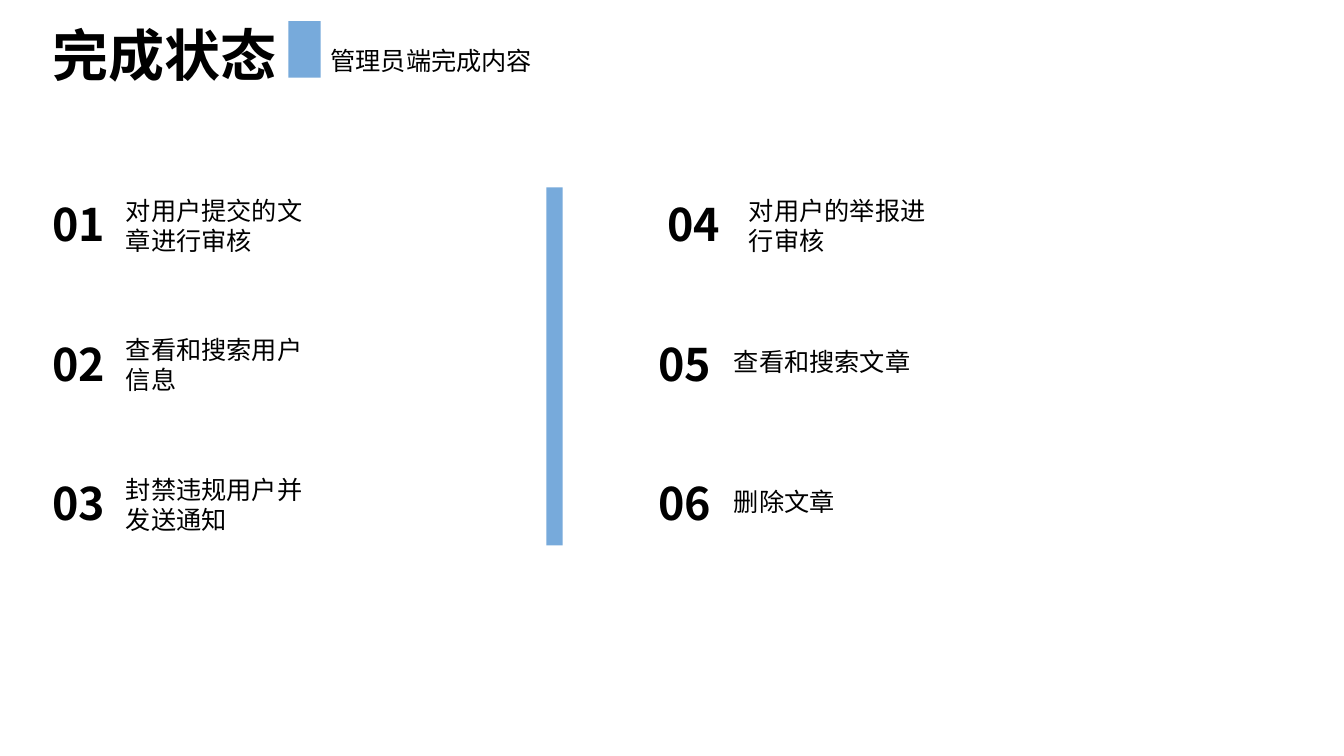
from dataclasses import dataclass

from pptx import Presentation
from pptx.dml.color import RGBColor
from pptx.enum.shapes import MSO_SHAPE as SHAPE
from pptx.enum.text import MSO_AUTO_SIZE as AUTO
from pptx.oxml.ns import qn
from pptx.util import Inches, Pt


@dataclass(frozen=True)
class Theme:
    font: str = "Noto Sans CJK SC"
    ink: RGBColor = RGBColor(0, 0, 0)
    accent: RGBColor = RGBColor(0x77, 0xAA, 0xDB)
    title: int = 40
    number: int = 32
    body: int = 18
    leading: float = 1.19    # line pitch as a share of the type size
    top_shift: float = 0.11  # extra top inset as a share of the type size


THEME = Theme()
WIDTH, HEIGHT = 13.33, 7.5
ROW_PITCH = 1.385

# Number, wording, number offset, wording offset, wording width
LEFT_ITEMS = [
    ("01", "对用户提交的文章进行审核", 0, (0.73, 0), 2.19),
    ("02", "查看和搜索用户信息", 0, (0.73, 0), 2.19),
    ("03", "封禁违规用户并发送通知", 0, (0.73, 0), 2.19),
]
RIGHT_ITEMS = [
    ("04", "对用户的举报进行审核", 0.09, (0.9, 0), 2.19),
    ("05", "查看和搜索文章", 0, (0.75, 0.12), 4.6),
    ("06", "删除文章", 0, (0.75, 0.12), 4.6),
]


def add_text(s, box, text, size, bold=False, wrap=True):
    tb = s.shapes.add_textbox(*map(Inches, box))
    tf = tb.text_frame
    frame_format = {"word_wrap": wrap, "auto_size": AUTO.NONE,
                    "margin_top": Inches(0.05) + Pt(size * THEME.top_shift)}
    for name, value in frame_format.items():
        setattr(tf, name, value)
    p = tf.paragraphs[0]
    p.line_spacing = Pt(size * THEME.leading)
    r = p.add_run()
    r.text = text
    for name, value in {"name": THEME.font, "size": Pt(size), "bold": bold}.items():
        setattr(r.font, name, value)
    r.font.color.rgb = THEME.ink
    # East Asian typeface
    ea = r.font._element.makeelement(qn("a:ea"), {"typeface": THEME.font})
    r.font._element.append(ea)


def add_bar(s, box):
    sp = s.shapes.add_shape(SHAPE.RECTANGLE, *map(Inches, box))
    sp.shadow.inherit = False
    sp.fill.solid()
    sp.fill.fore_color.rgb = THEME.accent
    sp.line.fill.background()


def add_header(s, x, y):
    add_text(s, (x, y, 2.42, 0.77), "完成状态", THEME.title, bold=True, wrap=False)
    add_bar(s, (x + 2.44, y + 0.11, 0.32, 0.56))
    add_text(s, (x + 2.76, y + 0.27, 3, 0.4), "管理员端完成内容", THEME.body)


def add_item_column(s, x, y, items):
    for row, (number, text, shift, (dx, dy), width) in enumerate(items):
        top = y + row * ROW_PITCH
        add_text(s, (x + shift, top, 0.89, 0.64), number, THEME.number, bold=True)
        add_text(s, (x + dx, top + dy, width, 0.71 - 2 * dy), text, THEME.body)


def build_status_slide(prs):
    s = prs.slides.add_slide(prs.slide_layouts[6])
    left, top = 0.42, 1.86
    add_header(s, left, 0.1)
    # Two columns with a divider between them
    add_item_column(s, left, top, LEFT_ITEMS)
    add_bar(s, (5.42, top, 0.16, 3.55))
    add_item_column(s, 6.43, top, RIGHT_ITEMS)


def main():
    prs = Presentation()
    prs.slide_width, prs.slide_height = Inches(WIDTH), Inches(HEIGHT)
    build_status_slide(prs)
    prs.save("out.pptx")


if __name__ == "__main__":
    main()
